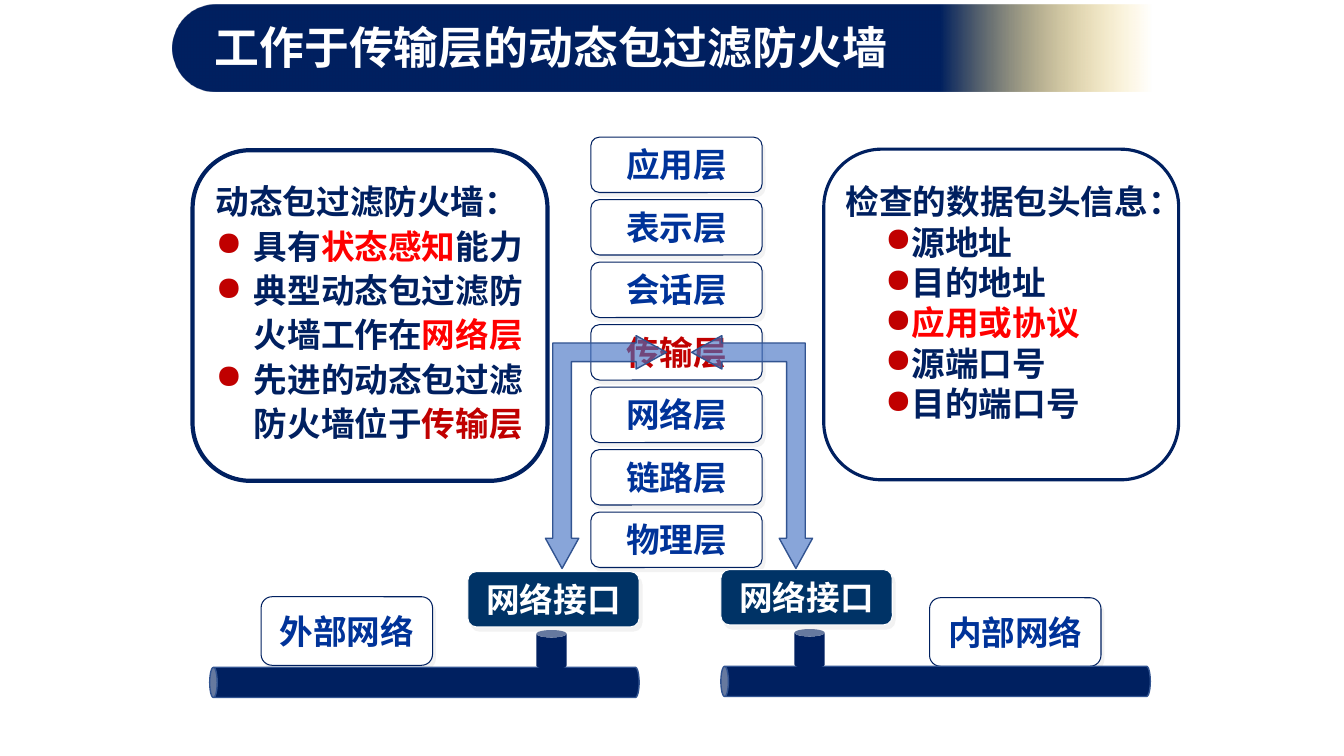
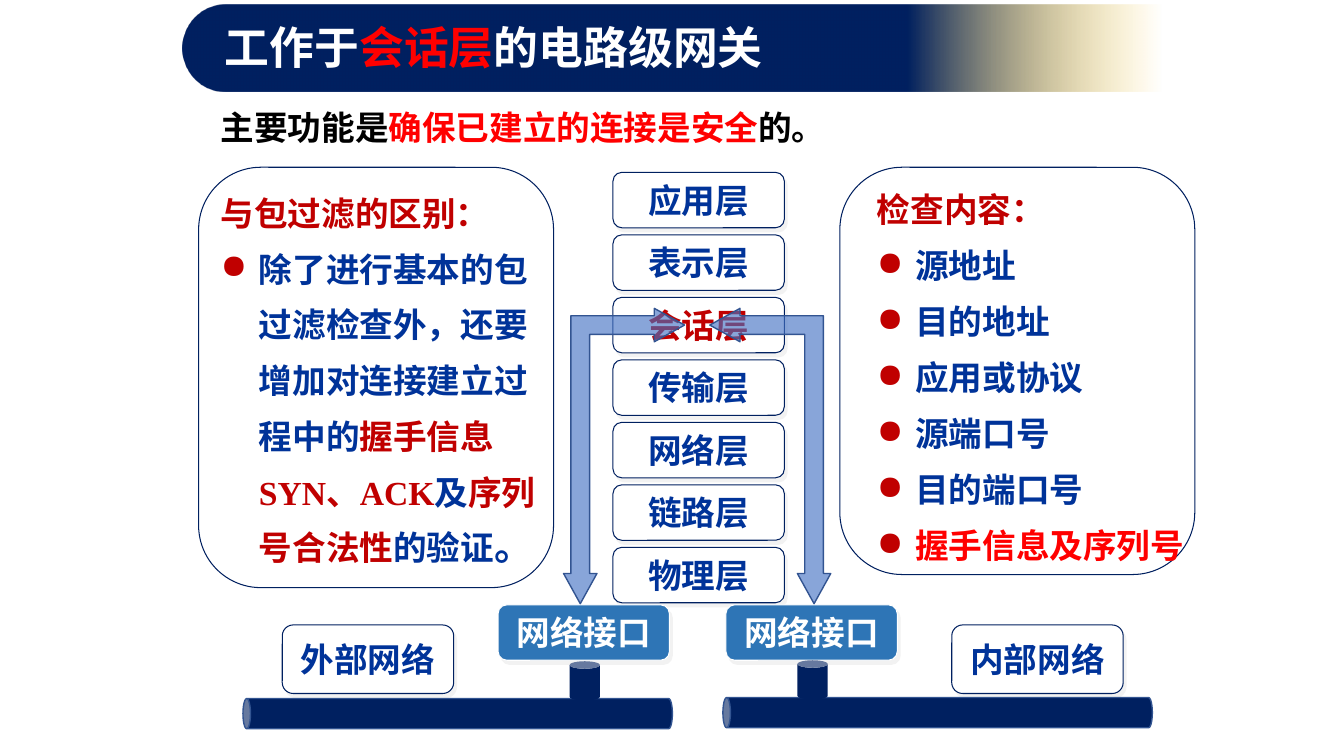
from dataclasses import dataclass

from lxml import etree
from pptx import Presentation
from pptx.dml.color import RGBColor
from pptx.enum.shapes import MSO_SHAPE
from pptx.enum.text import MSO_ANCHOR, MSO_AUTO_SIZE, PP_ALIGN
from pptx.oxml.ns import qn
from pptx.util import Emu, Pt

ROUND_RECT = MSO_SHAPE.ROUNDED_RECTANGLE
CAN = MSO_SHAPE.CAN
LEFT_UP_ARROW = MSO_SHAPE.LEFT_UP_ARROW
MIDDLE = MSO_ANCHOR.MIDDLE
FIT_SHAPE = MSO_AUTO_SIZE.SHAPE_TO_FIT_TEXT
LEFT, CENTER = PP_ALIGN.LEFT, PP_ALIGN.CENTER

EMU_PER_PX = 9144
NAVY, BLUE, WHITE, BLACK = "002060", "003399", "FFFFFF", "000000"
RED, DARK_RED = "FF0000", "C00000"
GOLD, SHADOW = "FFC000", "E7E6E6"
ARROW_FILL, EDGE = "4472C4", "325491"
SERIF, SANS = "Times New Roman", "Noto Sans CJK SC"

LAYERS = ["应用层", "表示层", "会话层", "传输层", "网络层", "链路层", "物理层"]
LAYER_PITCH = 62
BOX_WIDTH, BOX_HEIGHT, LABEL_HEIGHT = 170, 55, 68
PIPE_LENGTH, PIPE_WIDTH, STUB_HEIGHT, STUB_RISE = 426, 30, 39, 37
ARROW_WIDTH = 120
PANEL_WIDTH = 352
BULLET_INDENT = 38


@dataclass(frozen=True)
class Rect:
    left: int
    top: int
    width: int
    height: int


@dataclass(frozen=True)
class Span:
    text: str
    color: str
    size: int = 24


@dataclass(frozen=True)
class Para:
    spans: list[Span]
    bullet: bool = False
    margin: int = 0
    indent: int = 0
    spacing: float | Pt | None = None


@dataclass(frozen=True)
class Panel:
    frame: Rect
    text_area: Rect
    line_width: float
    paras: list[Para]


@dataclass(frozen=True)
class Network:
    name: str
    label_left: int
    label_top: int
    interface_left: int
    interface_top: int
    stub_left: int
    pipe_left: int
    pipe_top: int


@dataclass(frozen=True)
class Page:
    band_left: int
    solid_until: int
    title: list[Span]
    title_width: int
    layers_left: int
    layers_top: int
    active_layer: str
    interface_color: str
    networks: list[Network]
    panels: list[Panel]
    arrow_lefts: tuple[int, int]
    arrow_top: int
    arrow_height: int
    summary: list[Span]


def px(value: float) -> Emu:
    return Emu(round(value * EMU_PER_PX))


def rgb(color: str) -> RGBColor:
    return RGBColor.from_string(color)


def sub(parent, tag: str, **attributes):
    """Append a drawing element to parent."""
    values = {name: str(value) for name, value in attributes.items()}
    return etree.SubElement(parent, qn(tag), values)


def add_span(para, text: str, *, color: str, size: int = 24, font: str = SERIF) -> None:
    span = para.add_run()
    span.text = text
    span.font.size = Pt(size)
    span.font.bold = True
    span.font.name = font
    span.font.color.rgb = rgb(color)
    sub(span.font._element, "a:ea", typeface=SANS)


def fill_text(frame, paras: list[Para], *, font: str = SERIF, align=LEFT) -> None:
    for index, item in enumerate(paras):
        para = frame.add_paragraph() if index else frame.paragraphs[0]
        para.alignment = align
        if item.spacing is not None:
            para.line_spacing = item.spacing
        if item.bullet:
            properties = para._p.get_or_add_pPr()
            properties.set("marL", str(px(item.margin)))
            properties.set("indent", str(px(item.indent)))
            sub(sub(properties, "a:buClr"), "a:srgbClr", val=DARK_RED)
            sub(properties, "a:buChar", char="●")
        for span in item.spans:
            add_span(para, span.text, color=span.color, size=span.size, font=font)


def add_text(page, area: Rect, paras: list[Para], *, font: str = SERIF) -> None:
    box = page.shapes.add_textbox(px(area.left), px(area.top), px(area.width), px(area.height))
    box.text_frame.word_wrap = True
    box.text_frame.auto_size = FIT_SHAPE
    fill_text(box.text_frame, paras, font=font)


def add_shape(page, kind, area: Rect, *, fill: str, line: str | None = None,
              line_width: float = 0.75, adjust: tuple[float, ...] = ()):
    shape = page.shapes.add_shape(kind, px(area.left), px(area.top), px(area.width), px(area.height))
    shape.shadow.inherit = False
    shape.fill.solid()
    shape.fill.fore_color.rgb = rgb(fill)
    if line:
        shape.line.color.rgb = rgb(line)
        shape.line.width = Pt(line_width)
    else:
        shape.line.fill.background()
    for index, value in enumerate(adjust):
        shape.adjustments[index] = value
    return shape


def add_label(page, area: Rect, text: str, *, color: str = BLUE, fill: str = WHITE,
              line: str = NAVY) -> None:
    """Draw a rounded box with centred text and a faint shadow."""
    box = add_shape(page, ROUND_RECT, area, fill=fill, line=line, adjust=(0.159,))
    effects = box._element.spPr.find(qn("a:effectLst"))
    shadow = sub(effects, "a:outerShdw", blurRad=0, dist=Pt(3.6), dir=56 * 60000)
    sub(sub(shadow, "a:srgbClr", val=SHADOW), "a:alpha", val=50000)
    frame = box.text_frame
    frame.word_wrap = False
    frame.vertical_anchor = MIDDLE
    frame.margin_top = px(4)
    fill_text(frame, [Para([Span(text, color)])], align=CENTER)


def add_title(page, content: Page) -> None:
    band = add_shape(page, ROUND_RECT, Rect(content.band_left, 5, 1055, 86), fill=NAVY, adjust=(0.5,))
    band.fill.gradient()
    band.fill.gradient_angle = 0
    stops = band._element.spPr.find(qn("a:gradFill")).find(qn("a:gsLst"))
    for stop in list(stops):
        stops.remove(stop)
    for position, color, alpha in ((content.solid_until, NAVY, 100), (92, GOLD, 0)):
        stop = sub(stops, "a:gs", pos=position * 1000)
        sub(sub(stop, "a:srgbClr", val=color), "a:alpha", val=alpha * 1000)
    area = Rect(content.band_left + 32, 15, content.title_width, 64)
    add_text(page, area, [Para(content.title)], font=SANS)


def add_network(page, network: Network, interface_color: str) -> None:
    add_label(page, Rect(network.label_left, network.label_top, BOX_WIDTH, LABEL_HEIGHT), network.name)
    add_label(page, Rect(network.interface_left, network.interface_top, BOX_WIDTH, BOX_HEIGHT),
              "网络接口", color=WHITE, fill=interface_color, line=WHITE)
    turn = (PIPE_LENGTH - PIPE_WIDTH) // 2
    upright = Rect(network.pipe_left + turn, network.pipe_top - turn, PIPE_WIDTH, PIPE_LENGTH)
    pipe = add_shape(page, CAN, upright, fill=NAVY, line=EDGE, line_width=1)
    pipe.rotation = 270
    stub = Rect(network.stub_left, network.pipe_top - STUB_RISE, PIPE_WIDTH, STUB_HEIGHT)
    add_shape(page, CAN, stub, fill=NAVY)


def add_arrow(page, area: Rect, *, mirrored: bool) -> None:
    arrow = add_shape(page, LEFT_UP_ARROW, area, fill=ARROW_FILL, line=EDGE, line_width=1,
                      adjust=(0.154, 0.138, 0.25))
    properties = arrow._element.spPr
    color = properties.find(qn("a:solidFill")).find(qn("a:srgbClr"))
    sub(color, "a:alpha", val=63000)
    transform = properties.find(qn("a:xfrm"))
    transform.set("flipV", "1")
    if mirrored:
        transform.set("flipH", "1")


def draw_page(deck, content: Page) -> None:
    page = deck.slides.add_slide(deck.slide_layouts[6])
    add_title(page, content)
    for index, layer in enumerate(LAYERS):
        top = content.layers_top + index * LAYER_PITCH
        add_label(page, Rect(content.layers_left, top, BOX_WIDTH, BOX_HEIGHT), layer,
                  color=DARK_RED if layer == content.active_layer else BLUE)
    for panel in content.panels:
        add_shape(page, ROUND_RECT, panel.frame, fill=WHITE, line=NAVY,
                  line_width=panel.line_width, adjust=(0.175,))
        add_text(page, panel.text_area, panel.paras)
    for network in content.networks:
        add_network(page, network, content.interface_color)
    for left, mirrored in zip(content.arrow_lefts, (True, False)):
        add_arrow(page, Rect(left, content.arrow_top, ARROW_WIDTH, content.arrow_height), mirrored=mirrored)
    if content.summary:
        add_text(page, Rect(209, 101, 675, 50), [Para(content.summary)], font=SANS)


def bullet(*spans: Span, spacing: float | Pt | None = None) -> Para:
    return Para(list(spans), True, BULLET_INDENT, -BULLET_INDENT, spacing)


HEADER_FIELDS = ["源地址", "目的地址", "应用或协议", "源端口号", "目的端口号"]
WIDE = Pt(40)

PACKET_FILTER = Page(
    band_left=171, solid_until=72, title_width=725,
    title=[Span("工作于传输层的动态包过滤防火墙", WHITE, 32)],
    layers_left=586, layers_top=136, active_layer="传输层", interface_color="003366",
    networks=[Network("外部网络", 259, 592, 464, 567, 532, 208, 662),
              Network("内部网络", 922, 593, 715, 565, 788, 715, 661)],
    panels=[
        Panel(Rect(817, 148, PANEL_WIDTH, 328), Rect(829, 175, 334, 252), 2.25, [
            Para([Span("检查的数据包头信息：", NAVY)]),
            *(Para([Span(field, RED if field == "应用或协议" else NAVY)], True, 0, 39)
              for field in HEADER_FIELDS)]),
        Panel(Rect(191, 149, PANEL_WIDTH, 328), Rect(204, 175, 326, 272), 3, [
            Para([Span("动态包过滤防火墙：", NAVY)]),
            bullet(Span("具有", NAVY), Span("状态感知", RED), Span("能力", NAVY), spacing=1.1),
            bullet(Span("典型动态包过滤防火墙工作在", NAVY), Span("网络层", RED), spacing=1.1),
            bullet(Span("先进的动态包过滤防火墙位于", NAVY), Span("传输层", DARK_RED), spacing=1.1)])],
    arrow_lefts=(541, 686), arrow_top=333, arrow_height=231, summary=[])

CIRCUIT_GATEWAY = Page(
    band_left=181, solid_until=68, title_width=663,
    title=[Span("工作于", WHITE, 32), Span("会话层", RED, 32), Span("的电路级网关", WHITE, 32)],
    layers_left=608, layers_top=171, active_layer="会话层", interface_color="2E75B6",
    networks=[Network("外部网络", 280, 620, 494, 600, 565, 241, 693),
              Network("内部网络", 944, 620, 720, 600, 791, 717, 692)],
    panels=[
        Panel(Rect(833, 166, PANEL_WIDTH, 404), Rect(860, 167, 334, 403), 0.75, [
            Para([Span("检查内容：", DARK_RED)], spacing=WIDE),
            *(bullet(Span(field, BLUE), spacing=WIDE) for field in HEADER_FIELDS),
            bullet(Span("握手信息及序列号", RED), spacing=WIDE)]),
        Panel(Rect(197, 166, PANEL_WIDTH, 417), Rect(209, 166, 334, 407), 0.75, [
            Para([Span("与包过滤的区别：", DARK_RED)], spacing=1.5),
            bullet(Span("除了进行基本的包过滤检查外，还要增加对连接建立过程中的", BLUE),
                   Span("握手信息SYN、ACK", DARK_RED), Span("及", BLUE),
                   Span("序列号合法性", DARK_RED), Span("的验证", BLUE), Span("。", BLUE, 28),
                   spacing=WIDE)])],
    arrow_lefts=(559, 704), arrow_top=306, arrow_height=293,
    summary=[Span("主要功能是", BLACK), Span("确保已建立的连接是安全", RED), Span("的。", BLACK)])


def main() -> None:
    deck = Presentation()
    deck.slide_width, deck.slide_height = px(1333), px(750)
    for content in (PACKET_FILTER, CIRCUIT_GATEWAY):
        draw_page(deck, content)
    deck.save("out.pptx")


if __name__ == "__main__":
    main()
